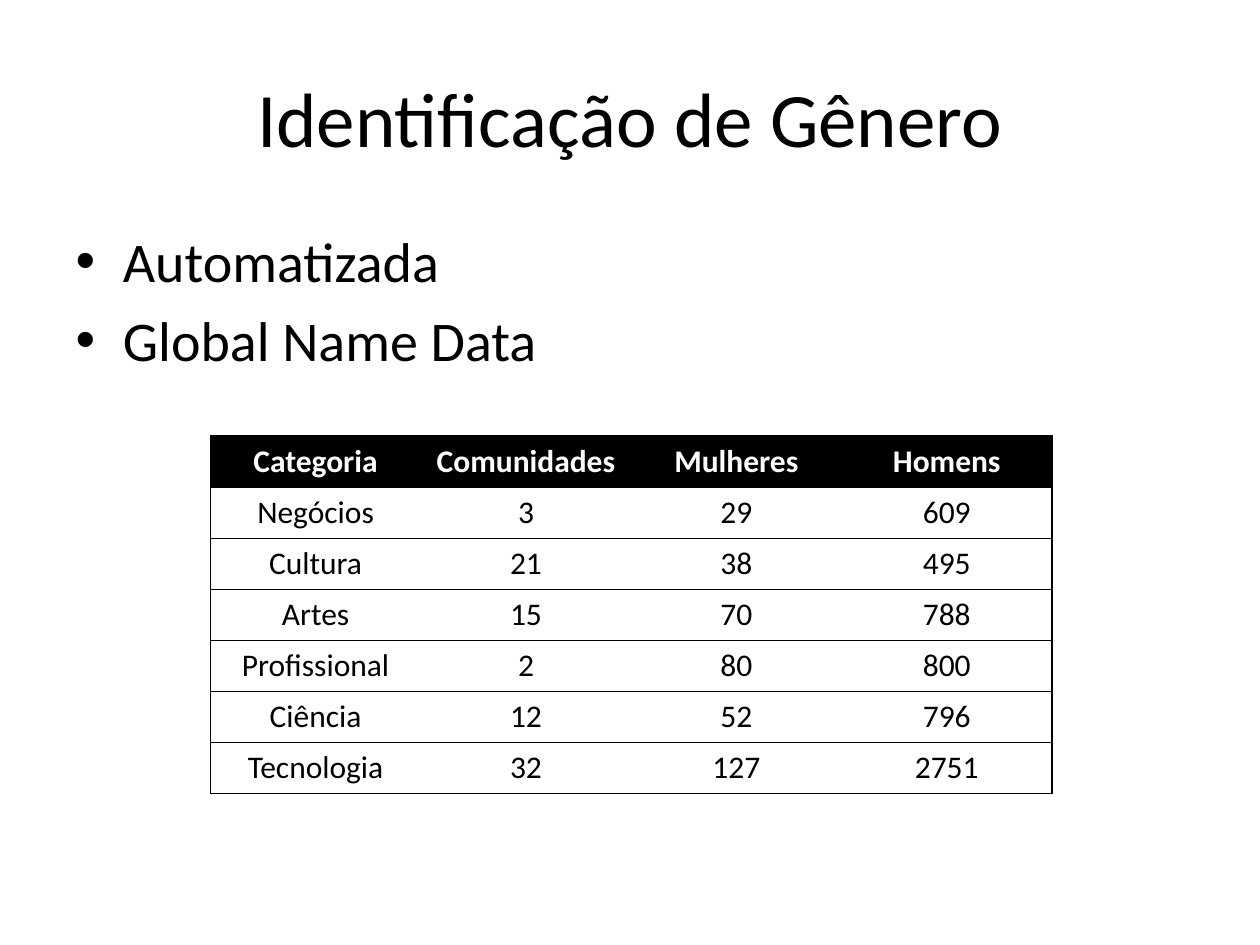
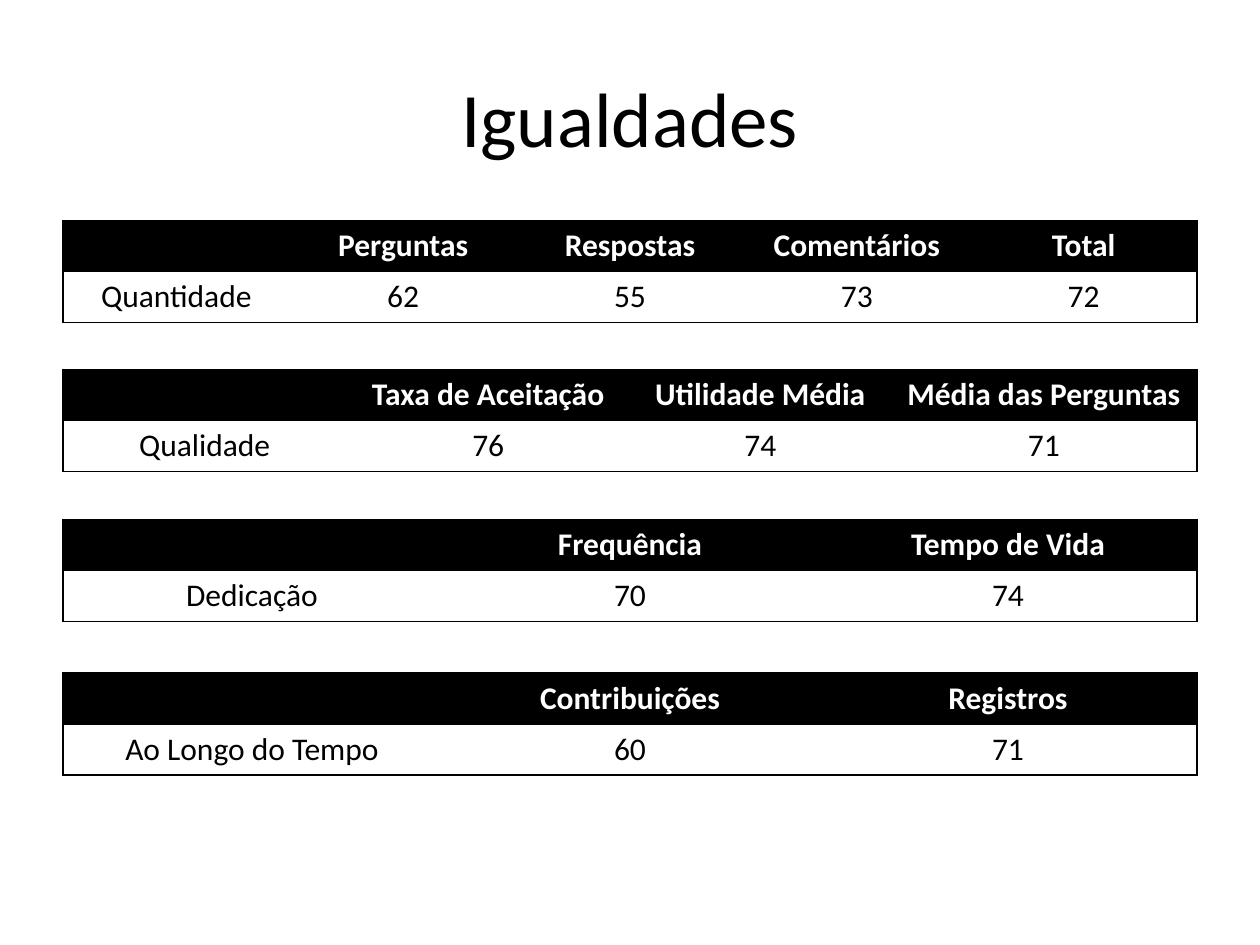
import pptx
import pptx.dml.color
import pptx.enum.text
import pptx.oxml
import pptx.oxml.ns
import pptx.util

Inches = pptx.util.Inches
Pt = pptx.util.Pt

FONT = "Calibri"
BLACK = "000000"
WHITE = "FFFFFF"
TITLE_BOX = (0.5, 0.3, 9, 1.25)
BODY_BOX = (0.5, 1.75, 9, 4.95)
ROW_HEIGHT = 0.405
BORDER_WIDTH = 0.75

TITLE_AND_CONTENT = 1
TITLE_ONLY = 5

SLIDES = [
    {
        "title": "Identificação de Gênero",
        "topics": ["Automatizada", "Global Name Data"],
        "tables": [
            {
                "left": 1.67,
                "top": 3.46,
                "widths": [1.67] * 4,
                "rows": [
                    ("Categoria", "Comunidades", "Mulheres", "Homens"),
                    ("Negócios", "3", "29", "609"),
                    ("Cultura", "21", "38", "495"),
                    ("Artes", "15", "70", "788"),
                    ("Profissional", "2", "80", "800"),
                    ("Ciência", "12", "52", "796"),
                    ("Tecnologia", "32", "127", "2751"),
                ],
            },
        ],
    },
    {
        "title": "Igualdades",
        "topics": [],
        "tables": [
            {
                "left": 0.5,
                "top": 1.75,
                "widths": [1.8] * 5,
                "rows": [
                    ("", "Perguntas", "Respostas", "Comentários", "Total"),
                    ("Quantidade", "62", "55", "73", "72"),
                ],
            },
            {
                "left": 0.5,
                "top": 2.93,
                "widths": [2.25, 2.25, 2.07, 2.43],
                "rows": [
                    ("", "Taxa de Aceitação", "Utilidade Média", "Média das Perguntas"),
                    ("Qualidade", "76", "74", "71"),
                ],
            },
            {
                "left": 0.5,
                "top": 4.12,
                "widths": [3] * 3,
                "rows": [
                    ("", "Frequência", "Tempo de Vida"),
                    ("Dedicação", "70", "74"),
                ],
            },
            {
                "left": 0.5,
                "top": 5.34,
                "widths": [3] * 3,
                "rows": [
                    ("", "Contribuições", "Registros"),
                    ("Ao Longo do Tempo", "60", "71"),
                ],
            },
        ],
    },
]


def rgb(color):
    return pptx.dml.color.RGBColor.from_string(color)


def place(placeholder, box):
    placeholder.left, placeholder.top, placeholder.width, placeholder.height = map(Inches, box)


def format_paragraph(paragraph, size, color=BLACK, bold=False):
    for font in [paragraph.font] + [run.font for run in paragraph.runs]:
        font.name = FONT
        font.size = Pt(size)
        font.bold = bold
        font.color.rgb = rgb(color)


def set_borders(cell, drawn_sides):
    properties = cell._tc.get_or_add_tcPr()
    for side in "LRTB":
        if side in drawn_sides:
            paint = f'<a:solidFill><a:srgbClr val="{BLACK}"/></a:solidFill>'
        else:
            paint = "<a:noFill/>"
        properties.append(pptx.oxml.parse_xml(
            f'<a:ln{side} {pptx.oxml.ns.nsdecls("a")} w="{Pt(BORDER_WIDTH)}">{paint}</a:ln{side}>'
        ))


def fill_cell(cell, text, is_header, drawn_sides):
    set_borders(cell, drawn_sides)
    if is_header:
        cell.fill.solid()
        cell.fill.fore_color.rgb = rgb(BLACK)
    else:
        cell.fill.background()
    cell.text_frame.text = text
    paragraph = cell.text_frame.paragraphs[0]
    paragraph.alignment = pptx.enum.text.PP_ALIGN.CENTER
    format_paragraph(paragraph, 18, WHITE if is_header else BLACK, is_header)


def add_data_table(slide, data):
    rows, widths = data["rows"], data["widths"]
    table = slide.shapes.add_table(
        len(rows), len(widths),
        Inches(data["left"]), Inches(data["top"]),
        Inches(sum(widths)), Inches(ROW_HEIGHT * len(rows)),
    ).table
    table.horz_banding = False
    for column, width in zip(table.columns, widths):
        column.width = Inches(width)
    for row_index, values in enumerate(rows):
        table.rows[row_index].height = Inches(ROW_HEIGHT)
        for column_index, value in enumerate(values):
            sides = "TB"
            if column_index == 0:
                sides += "L"
            if column_index == len(values) - 1:
                sides += "R"
            fill_cell(table.cell(row_index, column_index), value, row_index == 0, sides)


def add_title(slide, text):
    title = slide.shapes.title
    place(title, TITLE_BOX)
    title.text_frame.text = text
    title.text_frame.vertical_anchor = pptx.enum.text.MSO_ANCHOR.MIDDLE
    heading = title.text_frame.paragraphs[0]
    heading.alignment = pptx.enum.text.PP_ALIGN.CENTER
    format_paragraph(heading, 44)


def add_topics(slide, topics):
    body = slide.placeholders[1]
    place(body, BODY_BOX)
    body.text_frame.text = "\n".join(topics)
    for paragraph in body.text_frame.paragraphs:
        format_paragraph(paragraph, 32)


def main():
    presentation = pptx.Presentation()
    presentation.slide_width = Inches(10)
    presentation.slide_height = Inches(7.5)
    for content in SLIDES:
        layout = TITLE_AND_CONTENT if content["topics"] else TITLE_ONLY
        slide = presentation.slides.add_slide(presentation.slide_layouts[layout])
        add_title(slide, content["title"])
        if content["topics"]:
            add_topics(slide, content["topics"])
        for data in content["tables"]:
            add_data_table(slide, data)
    presentation.save("out.pptx")


if __name__ == "__main__":
    main()
